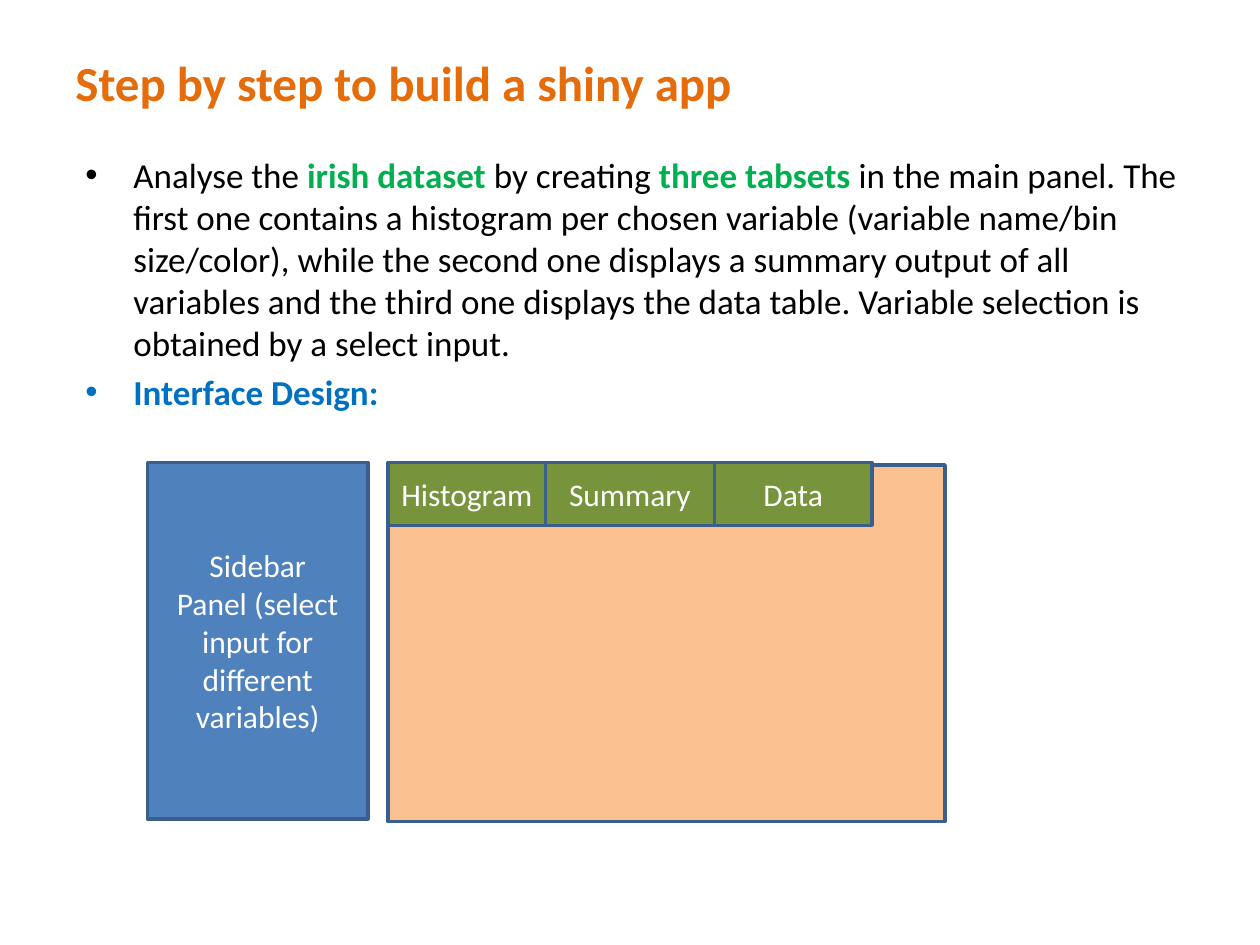
import pptx
import pptx.dml.color
import pptx.enum.shapes
import pptx.enum.text
import pptx.oxml.ns
import pptx.util
from lxml import etree
from pptx.util import Inches

COLORS = {
    "title": "E46C0A",
    "text": "000000",
    "emphasis": "00B050",
    "heading": "0070C0",
    "sidebar": "4F81BD",
    "main": "FAC090",
    "tab": "77933C",
    "outline": "3A5F8C",
    "label": "FFFFFF",
}

BULLETS = [
    [
        ("Analyse the ", "text", False),
        ("irish dataset ", "emphasis", True),
        ("by creating ", "text", False),
        ("three tabsets ", "emphasis", True),
        ("in the main panel. The first one contains a histogram per chosen "
         "variable (variable name/bin size/color), while the second one "
         "displays a summary output of all variables and the third one "
         "displays the data table. Variable selection is obtained by a "
         "select input.", "text", False),
    ],
    [("Interface Design:", "heading", True)],
]

TABS = [("Histogram", 1.25), ("Summary", 1.34), ("Data", 1.25)]


def rgb(name):
    return pptx.dml.color.RGBColor.from_string(COLORS[name])


def style(font, size=None, color=None, bold=None):
    if size:
        font.name = "Calibri"
        font.size = pptx.util.Pt(size)
    if color:
        font.color.rgb = rgb(color)
    if bold is not None:
        font.bold = bold


def add_textbox(page, left, top, width, height):
    box = page.shapes.add_textbox(
        Inches(left), Inches(top), Inches(width), Inches(height))
    box.text_frame.word_wrap = True
    return box.text_frame


def add_title(page, left, top, width, height):
    frame = add_textbox(page, left, top, width, height)
    frame.vertical_anchor = pptx.enum.text.MSO_ANCHOR.MIDDLE
    para = frame.paragraphs[0]
    para.text = "Step by step to build a shiny app"
    style(para.font, 28, "title", True)


def set_bullet(para, indent):
    props = para._p.get_or_add_pPr()
    props.set("marL", str(Inches(indent)))
    props.set("indent", str(-Inches(indent)))
    for tag, key, value in (("a:buFont", "typeface", "Arial"),
                            ("a:buChar", "char", "•")):
        etree.SubElement(props, pptx.oxml.ns.qn(tag)).set(key, value)


def add_bullets(page, left, top, width, height):
    frame = add_textbox(page, left, top, width, height)
    for index, spans in enumerate(BULLETS):
        para = frame.add_paragraph() if index else frame.paragraphs[0]
        set_bullet(para, 0.38)
        if index:
            para.space_before = pptx.util.Pt(4)
        style(para.font, 20)
        for text, color, bold in spans:
            span = para.add_run()
            span.text = text
            style(span.font, color=color, bold=bold)


def add_panel(page, left, top, width, height, fill, lines=()):
    panel = page.shapes.add_shape(
        pptx.enum.shapes.MSO_SHAPE.RECTANGLE,
        Inches(left), Inches(top), Inches(width), Inches(height))
    panel.shadow.inherit = False
    panel.fill.solid()
    panel.fill.fore_color.rgb = rgb(fill)
    panel.line.color.rgb = rgb("outline")
    panel.line.width = pptx.util.Pt(2)
    frame = panel.text_frame
    frame.word_wrap = True
    frame.vertical_anchor = pptx.enum.text.MSO_ANCHOR.MIDDLE
    for index, line in enumerate(lines):
        para = frame.add_paragraph() if index else frame.paragraphs[0]
        para.text = line
        para.alignment = pptx.enum.text.PP_ALIGN.CENTER
        style(para.font, 18, "label")


def add_interface(page, left, top, width, height):
    sidebar_width, gap, offset = 1.75, 0.16, 0.02
    panel_height = height - offset
    main_left = left + sidebar_width + gap
    add_panel(page, left, top, sidebar_width, panel_height, "sidebar",
              ["Sidebar", "Panel (select input for different variables)"])
    add_panel(page, main_left, top + offset, left + width - main_left,
              panel_height, "main")
    tab_left = main_left
    for label, tab_width in TABS:
        add_panel(page, tab_left, top, tab_width, 0.5, "tab", [label])
        tab_left += tab_width


def main():
    deck = pptx.Presentation()
    deck.slide_width, deck.slide_height = Inches(10), Inches(7.5)
    page = deck.slides.add_slide(deck.slide_layouts[6])
    add_title(page, 0.5, 0.3, 8.75, 0.7)
    add_bullets(page, 0.58, 1.17, 8.92, 5.53)
    add_interface(page, 1.17, 3.67, 6.33, 2.85)
    deck.save("out.pptx")


if __name__ == "__main__":
    main()
